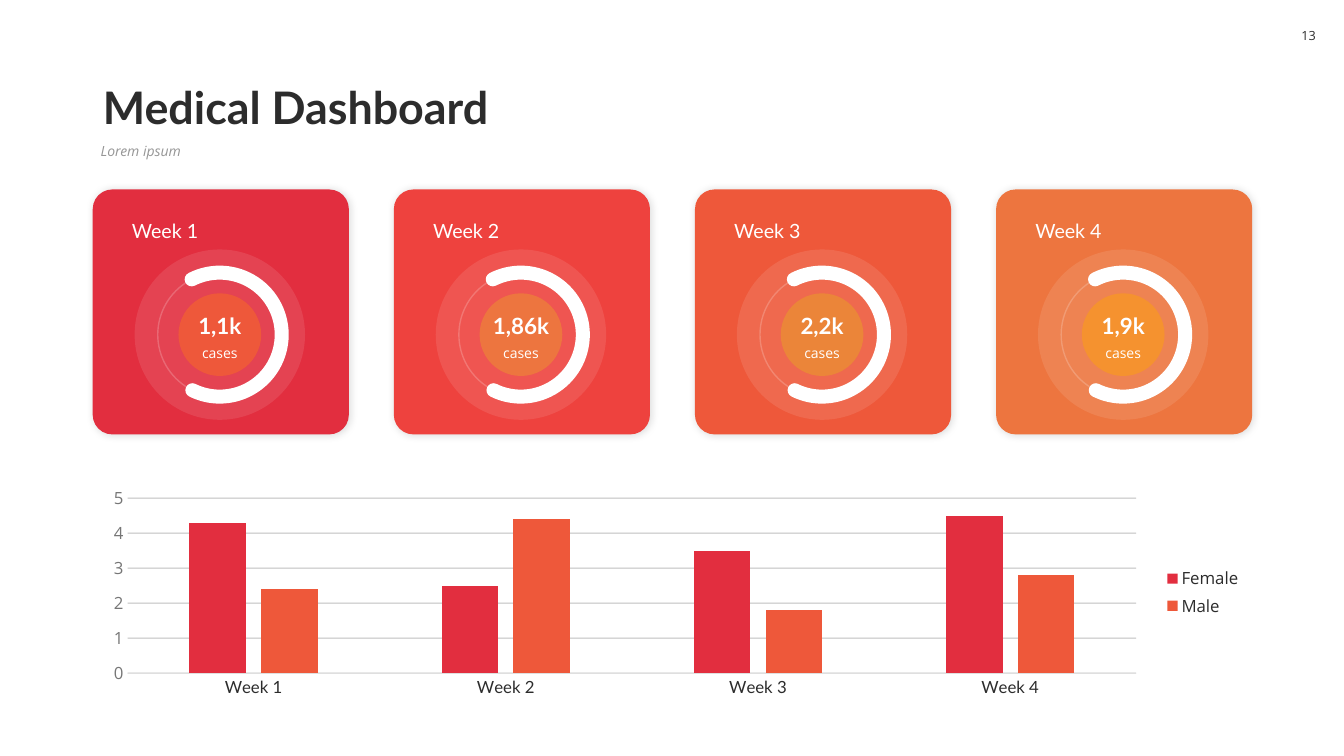
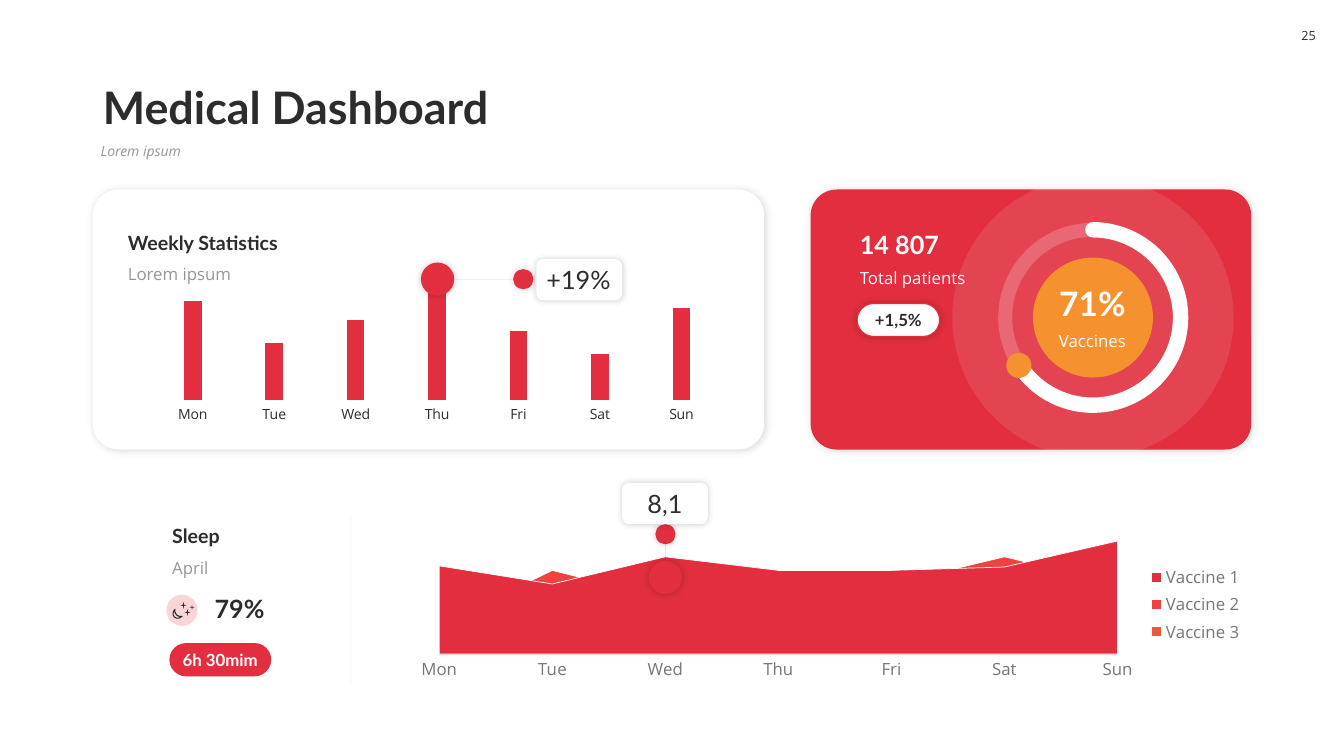
"""Build two medical dashboard slides with gauge cards and native charts."""
from dataclasses import dataclass

from pptx import Presentation
from pptx.chart.data import CategoryChartData
from pptx.dml.color import RGBColor
from pptx.enum.chart import XL_CHART_TYPE, XL_LEGEND_POSITION, XL_TICK_MARK
from pptx.enum.shapes import MSO_CONNECTOR, MSO_SHAPE
from pptx.enum.text import MSO_ANCHOR, PP_ALIGN
from pptx.oxml.ns import qn
from pptx.util import Inches, Pt
from lxml import etree

ARC, OVAL, ROUND = MSO_SHAPE.ARC, MSO_SHAPE.OVAL, MSO_SHAPE.ROUNDED_RECTANGLE
MOON, STAR = MSO_SHAPE.MOON, MSO_SHAPE.STAR_4_POINT
LEFT, CENTER = PP_ALIGN.LEFT, PP_ALIGN.CENTER
TOP, MIDDLE, BOTTOM = MSO_ANCHOR.TOP, MSO_ANCHOR.MIDDLE, MSO_ANCHOR.BOTTOM
COLUMN, AREA = XL_CHART_TYPE.COLUMN_CLUSTERED, XL_CHART_TYPE.AREA


@dataclass(frozen=True)
class Theme:
    """Fonts, colours and type sizes shared by the slides."""
    heading: str = "Lato"
    body: str = "Open Sans"
    white: str = "FFFFFF"
    ink: str = "2C2C2C"
    muted: str = "969696"
    label: str = "767676"
    axis: str = "DFDFDF"
    red: str = "E22E3F"
    coral: str = "EE423E"
    vermilion: str = "EE583A"
    orange: str = "ED753F"
    amber: str = "EB8539"
    yellow: str = "F5922F"
    title: int = 32
    gauge: int = 24
    large: int = 18
    figure: int = 16
    subhead: int = 14
    text: int = 12
    small: int = 10
    page: int = 9


THEME = Theme()
CARD_SHADOW = (15, 6, 1)
FLOAT_SHADOW = (20, 5, 0)
TITLE, SUBTITLE = "Medical Dashboard", "Lorem ipsum"

WEEK_CARDS = [
    ("Week 1", "1,1k", THEME.red, THEME.vermilion),
    ("Week 2", "1,86k", THEME.coral, THEME.orange),
    ("Week 3", "2,2k", THEME.vermilion, THEME.amber),
    ("Week 4", "1,9k", THEME.orange, THEME.yellow),
]
CASES = [
    ("Female", [4.3, 2.5, 3.5, 4.5], THEME.red),
    ("Male", [2.4, 4.4, 1.8, 2.8], THEME.vermilion),
]
DAYS = ["Mon", "Tue", "Wed", "Thu", "Fri", "Sat", "Sun"]
STATISTICS = [("Series 1", [86, 50, 70, 100, 60, 40, 80], THEME.red)]
VACCINES = [
    ("Vaccine 1", [78, 62, 86, 74, 74, 77, 100], THEME.red),
    ("Vaccine 2", [25, 74, 49, 37, 62, 86, 62], THEME.coral),
    ("Vaccine 3", [37, 49, 25, 25, 49, 62, 74], THEME.vermilion),
]
ICON_STARS = [(1.88, 6, 0.05, 0.05), (1.79, 5.97, 0.06, 0.07), (1.83, 6.04, 0.06, 0.07)]


def inches(box):
    """Turn a left, top, width, height tuple into lengths."""
    return [Inches(value) for value in box]


def centred(x, y, size):
    """Return the square box of a size around a centre."""
    return x - size / 2, y - size / 2, size, size


def rgb(color):
    """Return a colour object for a hex string."""
    return RGBColor.from_string(color)


def set_alpha(element, query, percent):
    """Make the colours found below an element translucent."""
    for color in element.xpath(query):
        etree.SubElement(color, qn("a:alpha")).set("val", str(percent * 1000))


def style_font(font, size, color, name=THEME.body, bold=False, italic=False):
    """Apply type settings to a font."""
    font.size, font.name, font.bold, font.italic = Pt(size), name, bold, italic
    font.color.rgb = rgb(color)


def write(shape, text, size, color, name=THEME.body, bold=False, italic=False,
          align=LEFT, anchor=TOP, margins=(0.1, 0.05), wrap=True, spacing=None):
    """Put one formatted paragraph into a shape."""
    frame = shape.text_frame
    frame.text, frame.word_wrap, frame.vertical_anchor = text, wrap, anchor
    frame.margin_left = frame.margin_right = Inches(margins[0])
    frame.margin_top = frame.margin_bottom = Inches(margins[1])
    paragraph = frame.paragraphs[0]
    paragraph.alignment = align
    if spacing:
        paragraph.line_spacing = spacing
    style_font(paragraph.runs[0].font, size, color, name, bold, italic)


def add_text(slide, box, *content, **style):
    """Add a text box holding one paragraph."""
    write(slide.shapes.add_textbox(*inches(box)), *content, **style)


def add_heading(slide, box, *content, bold=True, **style):
    """Add a text box set in the heading font."""
    add_text(slide, box, *content, name=THEME.heading, bold=bold, **style)


def add_block(slide, kind, box, fill=None, alpha=None, line=None, shadow=None,
              adjust=()):
    """Add a preset shape; line is colour, width and optional opacity."""
    shape = slide.shapes.add_shape(kind, *inches(box))
    properties = shape._element.spPr
    for index, value in enumerate(adjust):
        shape.adjustments[index] = value
    if fill:
        shape.fill.solid()
        shape.fill.fore_color.rgb = rgb(fill)
    else:
        shape.fill.background()
    if alpha:
        set_alpha(properties, "./a:solidFill/a:srgbClr", alpha)
    if line:
        shape.line.color.rgb, shape.line.width = rgb(line[0]), Pt(line[1])
        if len(line) > 2:
            set_alpha(properties, "./a:ln//a:srgbClr", line[2])
    else:
        shape.line.fill.background()
    shape.shadow.inherit = False
    if shadow:
        opacity, blur, distance = shadow
        outer = etree.SubElement(properties.find(qn("a:effectLst")), qn("a:outerShdw"),
                                 blurRad=str(Pt(blur)), dist=str(Pt(distance)),
                                 dir="2700000", algn="tl", rotWithShape="0")
        etree.SubElement(outer, qn("a:srgbClr"), val="000000")
        set_alpha(outer, "./a:srgbClr", opacity) if hasattr(outer, "xpath_ns") else \
            etree.SubElement(outer[0], qn("a:alpha"), val=str(opacity * 1000))
    return shape


def add_arc(slide, box, start, end, width):
    """Add a white round-capped arc between two angles in degrees."""
    arc = add_block(slide, ARC, box, line=(THEME.white, width),
                    adjust=(start * 0.6, end * 0.6))
    arc.line._get_or_add_ln().set("cap", "rnd")


def add_rule(slide, start, end):
    """Add a faint thin line."""
    rule = slide.shapes.add_connector(MSO_CONNECTOR.STRAIGHT, *inches(start + end))
    rule.line.color.rgb, rule.line.width = rgb(THEME.ink), Pt(0.5)
    properties = rule._element.spPr
    set_alpha(properties, "./a:ln//a:srgbClr", 10)
    etree.SubElement(properties, qn("a:effectLst"))


def add_chart(slide, kind, box, categories, series_list, plot_box, maximum,
              gap=None, overlap=None, label=(THEME.text, THEME.ink, THEME.body),
              grid=False, axis_line=True, legend=None):
    """Add a chart with a fixed plot area inside its frame."""
    data = CategoryChartData()
    data.categories = categories
    for name, values, _ in series_list:
        data.add_series(name, values)
    chart = slide.shapes.add_chart(kind, *inches(box), data).chart
    chart.has_title = False
    style_font(chart.font, THEME.text, THEME.ink)
    plot = chart.plots[0]
    plot.vary_by_categories = False
    if kind == COLUMN:
        plot.gap_width, plot.overlap = gap, overlap
    for series, (_, _, color) in zip(plot.series, series_list):
        series.format.fill.solid()
        series.format.fill.fore_color.rgb = rgb(color)
        if kind == AREA:
            series.format.line.color.rgb = rgb(THEME.white)
            series.format.line.width = Pt(0.5)
    category_axis, value_axis = chart.category_axis, chart.value_axis
    for axis in (category_axis, value_axis):
        axis.major_tick_mark = axis.minor_tick_mark = XL_TICK_MARK.NONE
        axis.has_major_gridlines = False
    style_font(category_axis.tick_labels.font, *label)
    if axis_line:
        category_axis.format.line.color.rgb = rgb(THEME.axis)
        category_axis.format.line.width = Pt(0.75)
    else:
        category_axis.format.line.fill.background()
    value_axis.minimum_scale, value_axis.maximum_scale = 0, maximum
    value_axis.visible = grid
    if grid:
        value_axis.major_unit = 1
        value_axis.format.line.fill.background()
        style_font(value_axis.tick_labels.font, THEME.text, THEME.label)
        line = value_axis.major_gridlines.format.line
        line.color.rgb, line.width = rgb(THEME.ink), Pt(0.75)
        set_alpha(value_axis._element, "./c:majorGridlines//a:srgbClr", 30)
    chart.has_legend = bool(legend)
    if legend:
        chart.legend.position = XL_LEGEND_POSITION.RIGHT
        chart.legend.include_in_layout = False
        style_font(chart.legend.font, THEME.text, legend)
    plot_area = chart._chartSpace.xpath("./c:chart/c:plotArea")[0]
    for old_layout in plot_area.findall(qn("c:layout")):
        plot_area.remove(old_layout)
    layout = etree.Element(qn("c:layout"))
    plot_area.insert(0, layout)
    manual = etree.SubElement(layout, qn("c:manualLayout"))
    settings = [("layoutTarget", "inner"), ("xMode", "edge"), ("yMode", "edge")]
    for tag, value in settings + list(zip("xywh", plot_box)):
        etree.SubElement(manual, qn("c:" + tag)).set("val", str(value))


def start_slide(presentation, number):
    """Add a slide with title, subtitle and page number."""
    slide = presentation.slides.add_slide(presentation.slide_layouts[5])
    title = slide.shapes.title
    title.left, title.top, title.width, title.height = inches((0.92, 0.58, 11.5, 0.8))
    write(title, TITLE, THEME.title, THEME.ink, THEME.heading, True,
          anchor=BOTTOM, spacing=0.9)
    add_text(slide, (0.9, 1.38, 11.52, 0.36), SUBTITLE, THEME.small, THEME.muted,
             italic=True, spacing=0.9)
    badge = add_block(slide, ROUND, (12.8, 0.18, 0.36, 0.35), THEME.white, adjust=(0.27,))
    write(badge, str(number), THEME.page, THEME.ink, align=CENTER, anchor=MIDDLE,
          margins=(0, 0.05), wrap=False)
    return slide


def add_week_card(slide, left, week, cases, card_color, core_color):
    """Add one weekly gauge card."""
    x, y = left + 1.26, 3.32
    add_block(slide, ROUND, (left, 1.88, 2.54, 2.43), card_color,
              shadow=CARD_SHADOW, adjust=(0.08,))
    add_block(slide, OVAL, centred(x, y, 1.69), THEME.white, alpha=10)
    ring = centred(x, y, 1.23)
    add_block(slide, OVAL, ring, line=(THEME.white, 1, 20))
    add_arc(slide, ring, 243.08, 116.19, 10)
    add_block(slide, OVAL, centred(x, y, 0.82), core_color)
    add_heading(slide, (x - 0.41, 3.04, 0.82, 0.37), cases, THEME.figure, THEME.white,
                align=CENTER, anchor=BOTTOM, margins=(0, 0.05))
    add_text(slide, (x - 0.41, 3.37, 0.82, 0.27), "cases", THEME.small, THEME.white,
             align=CENTER)
    add_heading(slide, (left + 0.29, 2.12, 1.94, 0.34), week, THEME.subhead,
                THEME.white, bold=False)


def add_callout(slide, box, text, align):
    """Add a floating value label."""
    callout = add_block(slide, ROUND, box, THEME.white, shadow=FLOAT_SHADOW)
    write(callout, text, THEME.large, THEME.ink, THEME.heading, align=align,
          anchor=MIDDLE, margins=(0.08, 0.05))


def add_marker(slide, x, y, size):
    """Add a floating red dot."""
    add_block(slide, OVAL, centred(x, y, size), THEME.red, shadow=FLOAT_SHADOW)


def add_pill(slide, box, text, fill, color, **style):
    """Add a fully rounded label."""
    pill = add_block(slide, ROUND, box, fill, adjust=(0.5,), **style)
    write(pill, text, THEME.text, color, THEME.heading, True, align=CENTER,
          anchor=MIDDLE, margins=(0, 0))


def build_weeks(presentation):
    """Build the slide of weekly cases."""
    slide = start_slide(presentation, 13)
    step = (11.5 - 2.54) / (len(WEEK_CARDS) - 1)
    for index, card in enumerate(WEEK_CARDS):
        add_week_card(slide, 0.92 + index * step, *card)
    add_chart(slide, COLUMN, (0.92, 4.79, 11.5, 2.17), [card[0] for card in WEEK_CARDS],
              CASES, (0.03, 0.07, 0.87, 0.8), 5, 219, -27,
              label=(THEME.text, THEME.ink, THEME.heading), grid=True, legend=THEME.ink)


def build_statistics(presentation):
    """Build the slide of statistics, vaccines and sleep."""
    slide = start_slide(presentation, 25)
    add_block(slide, ROUND, (0.92, 1.88, 6.66, 2.58), THEME.white,
              shadow=CARD_SHADOW, adjust=(0.1,))
    add_chart(slide, COLUMN, (1.39, 2.57, 5.89, 1.67), DAYS, STATISTICS,
              (0.02, 0.02, 0.96, 0.82), 120, 360, -30,
              label=(THEME.small, THEME.ink), axis_line=False)
    for left, top, heading, note in [(1.17, 2.23, "Weekly Statistics", "Lorem ipsum"),
                                     (1.61, 5.14, "Sleep", "April")]:
        add_heading(slide, (left, top, 2, 0.34), heading, THEME.subhead, THEME.ink,
                    anchor=BOTTOM)
        add_text(slide, (left, top + 0.34, 2, 0.3), note, THEME.text, THEME.muted)
    add_marker(slide, 4.34, 2.77, 0.33)
    add_rule(slide, (4.51, 2.77), (5.12, 2.77))
    add_marker(slide, 5.19, 2.77, 0.2)
    add_callout(slide, (5.32, 2.57, 0.85, 0.41), "+19%", LEFT)

    x, y = 10.84, 3.15
    add_block(slide, ROUND, (8.04, 1.88, 4.37, 2.58), THEME.red,
              shadow=CARD_SHADOW, adjust=(0.1,))
    add_block(slide, OVAL, centred(x, y, 2.79), THEME.white, alpha=10)
    add_block(slide, OVAL, centred(x, y, 1.19), THEME.yellow)
    ring = centred(x, y, 1.74)
    add_block(slide, OVAL, ring, line=(THEME.white, 10, 20))
    add_arc(slide, ring, 270, 140.65, 11)
    add_block(slide, OVAL, (9.98, 3.5, 0.25, 0.25), THEME.yellow)
    add_heading(slide, (10.24, 2.76, 1.19, 0.5), "71%", THEME.gauge, THEME.white,
                align=CENTER, anchor=BOTTOM)
    add_text(slide, (10.24, 3.23, 1.19, 0.3), "Vaccines", THEME.text, THEME.white,
             align=CENTER)
    add_heading(slide, (8.43, 2.22, 1.86, 0.4), "14 807", THEME.large, THEME.white,
                anchor=BOTTOM)
    add_text(slide, (8.43, 2.61, 1.86, 0.3), "Total patients", THEME.text, THEME.white)
    add_pill(slide, (8.5, 3.01, 0.82, 0.33), "+1,5%", THEME.white, THEME.ink,
             line=(THEME.red, 1), shadow=FLOAT_SHADOW)

    add_block(slide, OVAL, (1.65, 5.9, 0.31, 0.31), THEME.red, alpha=20)
    moon = add_block(slide, MOON, (1.72, 6.05, 0.06, 0.1), line=(THEME.ink, 0.75))
    moon.rotation = -45
    for box in ICON_STARS:
        add_block(slide, STAR, box, THEME.ink)
    add_heading(slide, (2.03, 5.84, 1.24, 0.4), "79%", THEME.large, THEME.ink,
                anchor=BOTTOM)
    add_pill(slide, (1.68, 6.38, 1.01, 0.33), "6h 30mim", THEME.red, THEME.white)
    add_rule(slide, (3.48, 6.8), (3.48, 5.1))
    add_chart(slide, AREA, (4.02, 5.21, 8.41, 1.58), DAYS, VACCINES,
              (0.04, 0.1, 0.8, 0.71), 100, label=(THEME.text, THEME.label),
              legend=THEME.label)
    add_marker(slide, 6.6, 5.73, 0.33)
    add_rule(slide, (6.6, 5.41), (6.6, 5.56))
    add_marker(slide, 6.6, 5.3, 0.2)
    add_callout(slide, (6.17, 4.79, 0.85, 0.41), "8,1", CENTER)


def main():
    """Create and save the presentation."""
    presentation = Presentation()
    presentation.slide_width, presentation.slide_height = Inches(13.33), Inches(7.5)
    build_weeks(presentation)
    build_statistics(presentation)
    presentation.save("out.pptx")


if __name__ == "__main__":
    main()
